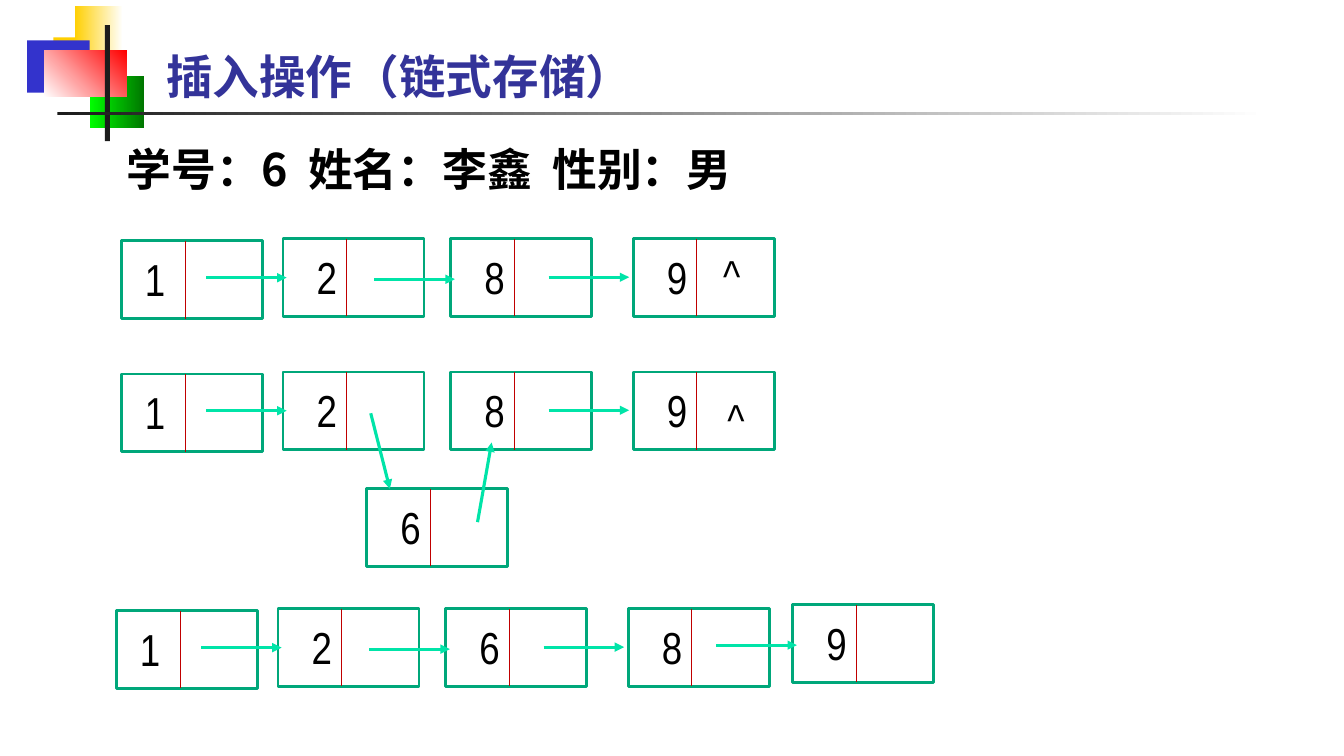
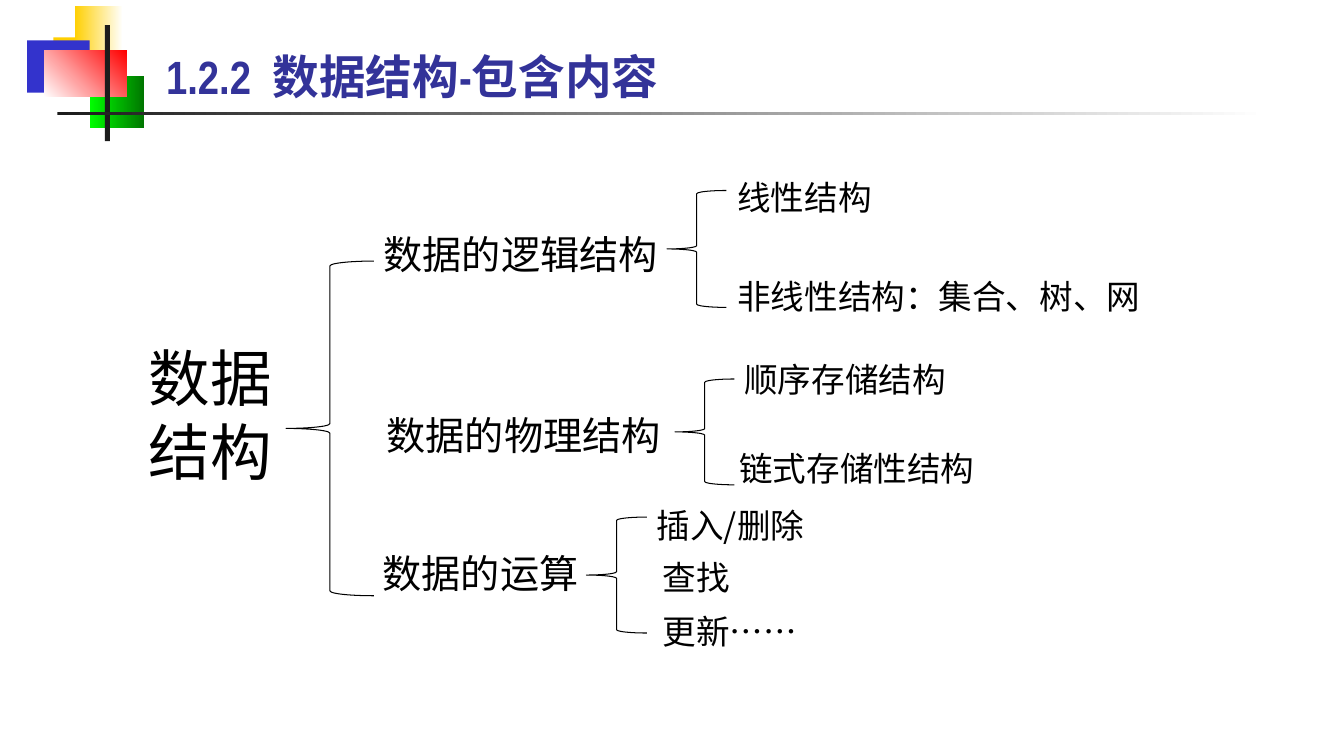
from lxml import etree
from pptx import Presentation
from pptx import util as u
from pptx.dml.color import RGBColor
from pptx.enum import shapes, text
from pptx.oxml.ns import qn

COLUMNS, ROWS = 133.4, 75
GRID = u.Inches(0.1)
LATIN, CJK = "Arial Narrow", "Noto Sans CJK SC"
INK, TITLE, DARK = "000000", "333399", "1C1C1C"
FRAME, DIVIDER, ARROW = "00A77A", "C00000", "00E4A8"

NODE_WIDTH, NODE_HEIGHT = 14, 7.7
# Column and row offsets from the start of a list row
NODE_OFFSETS = [(0, 0.2), (16, 0), (32.65, 0), (50.75, 0), (67.1, -0.4)]
LINK_OFFSETS = [(8.35, 3.85), (25.05, 4), (42.35, 3.8), (59.5, 3.6)]
LINK_LENGTH = 8

# Left, top, width, height, colours from first to last, angle
DECORATIONS = [
    (5.3, 3.7, 6.4, 5.2, ["FFCF01"], 0),
    (7.4, 0.6, 4.8, 5.2, ["FFCF01", "FFFFFF"], 0),
    (2.7, 4, 6.2, 5.2, ["3333CC"], 0),
    (8.9, 7.5, 5.4, 5.2, ["00FF00", "007600"], 0),
    (4.4, 5, 8.2, 4.6, ["FFFFFF", "FF0000"], 45),
    (10.4, 2.5, 0.5, 11.5, [DARK], 0),
    (5.7, 11.1, 120, 0.3, [DARK, "FFFFFF"], 0),
]


def grid(*lengths):
    return [round(length * GRID) for length in lengths]


def paint(color, value):
    color.rgb = RGBColor.from_string(value)


def add_shape(page, kind, box, fill=(), angle=0, line=None, weight=0.75):
    """Add a preset shape; two fill colours make a gradient."""
    shape = page.shapes.add_shape(kind, *grid(*box))
    shape.shadow.inherit = False
    if len(fill) > 1:
        shape.fill.gradient()
        shape.fill.gradient_angle = angle
        for stop, value in zip(shape.fill.gradient_stops, fill):
            paint(stop.color, value)
    elif fill:
        shape.fill.solid()
        paint(shape.fill.fore_color, fill[0])
    else:
        shape.fill.background()
    if line:
        paint(shape.line.color, line)
        shape.line.width = u.Pt(weight)
    else:
        shape.line.fill.background()
    return shape


def add_text(page, words, box, size, font=CJK, color=INK, bold=False):
    frame = page.shapes.add_textbox(*grid(*box)).text_frame
    frame.word_wrap = True
    frame.text = words
    para = frame.paragraphs[0]
    for span in para.runs:
        span.font.size = u.Pt(size)
        span.font.name = font
        span.font.bold = bold
        paint(span.font.color, color)
        etree.SubElement(span.font._element, qn("a:ea"), typeface=CJK)
    return frame


def add_line(page, start, end, color, weight, arrow=False):
    line = page.shapes.add_connector(
        shapes.MSO_CONNECTOR.STRAIGHT, *grid(*start, *end))
    paint(line.line.color, color)
    line.line.width = u.Pt(weight)
    if arrow:
        etree.SubElement(line.line._get_or_add_ln(), qn("a:tailEnd"), type="triangle")
    etree.SubElement(line._element.spPr, qn("a:effectLst"))


def add_arrow(page, start, end):
    add_line(page, start, end, ARROW, 2.25, arrow=True)


def add_page(deck, title):
    page = deck.slides.add_slide(deck.slide_layouts[6])
    for *box, fill, angle in DECORATIONS:
        add_shape(page, shapes.MSO_SHAPE.RECTANGLE, box, fill, angle)
    frame = add_text(page, title, (15.5, 4.4, 83, 6.9), 33.3, LATIN, TITLE, True)
    frame.vertical_anchor = text.MSO_ANCHOR.MIDDLE
    frame.paragraphs[0].line_spacing = 0.9
    return page


def add_digit(page, words, left, top):
    add_text(page, words, (left, top, 3.5, 6.4), 32, LATIN)


def add_node(page, value, left, top, indent=2.35):
    """Draw a list node: a value cell and a pointer cell."""
    add_digit(page, value, left + indent, top + 0.6)
    add_shape(page, shapes.MSO_SHAPE.RECTANGLE,
              (left, top, NODE_WIDTH, NODE_HEIGHT), line=FRAME, weight=2)
    middle = left + 0.45 * NODE_WIDTH
    add_line(page, (middle, top), (middle, top + NODE_HEIGHT), DIVIDER, 0.75)


def add_list(page, values, left, top, links):
    for index, (value, (dx, dy)) in enumerate(zip(values, NODE_OFFSETS)):
        add_node(page, value, left + dx, top + dy, 2.35 if index else 1.3)
    for index in links:
        dx, dy = LINK_OFFSETS[index]
        start = left + dx, top + dy
        add_arrow(page, start, (start[0] + LINK_LENGTH, start[1]))


def build_insertion(deck):
    page = add_page(deck, "插入操作（链式存储）")
    add_text(page, "学号：6  姓名：李鑫  性别：男", (11.6, 13.6, 74.4, 7.7), 32, bold=True)
    add_list(page, "1289", 12.1, 23.7, [0, 1, 2])
    add_digit(page, "^", 70.8, 24.1)
    add_list(page, "1289", 12.1, 36.9, [0, 2])
    add_digit(page, "^", 71.2, 38.4)
    add_node(page, "6", 36.4, 48.5)
    add_arrow(page, (36.8, 41), (38.7, 48.5))
    add_arrow(page, (47.4, 51.8), (48.8, 43.9))
    add_list(page, "12689", 11.6, 60.4, [0, 1, 2, 3])


def add_brace(page, box):
    brace = add_shape(page, shapes.MSO_SHAPE.LEFT_BRACE, box, line=INK)
    brace.adjustments[0] = 0.055


def add_branch(page, label, label_box, brace_box, leaves):
    """Draw a label, its brace and the leaves at (words, left, top, width)."""
    add_text(page, label, label_box, 28)
    add_brace(page, brace_box)
    for words, left, top, width in leaves:
        add_text(page, words, (left, top, width, 5), 24)


def build_contents(deck):
    page = add_page(deck, "1.2.2  数据结构-包含内容")
    add_text(page, "数据结构", (13.8, 33.2, 14.5, 15.7), 44, LATIN)
    add_brace(page, (28.4, 25.9, 8.7, 33.2))
    add_branch(page, "数据的逻辑结构", (37.1, 22.4, 32.4, 5.7), (66.2, 18.9, 5.9, 11.6),
               [("线性结构", 72.2, 17.1, 22.3),
                ("非线性结构：集合、树、网", 72.2, 26.9, 44.5)])
    add_branch(page, "数据的物理结构", (37.4, 40.3, 32.4, 5.7), (67, 37.6, 5.9, 10.5),
               [("顺序存储结构", 72.9, 35.1, 29.6),
                ("链式存储性结构", 72.4, 43.9, 30.8)])
    add_branch(page, "数据的运算", (37, 54, 29.2, 5.7), (58.2, 51.3, 6, 11.5),
               [("插入/删除", 64.2, 49.6, 18.3),
                ("查找", 64.8, 54.8, 18.3),
                ("更新……", 64.8, 60.1, 18.3)])


def main():
    deck = Presentation()
    deck.slide_width, deck.slide_height = grid(COLUMNS, ROWS)
    build_insertion(deck)
    build_contents(deck)
    deck.save("out.pptx")


if __name__ == "__main__":
    main()
